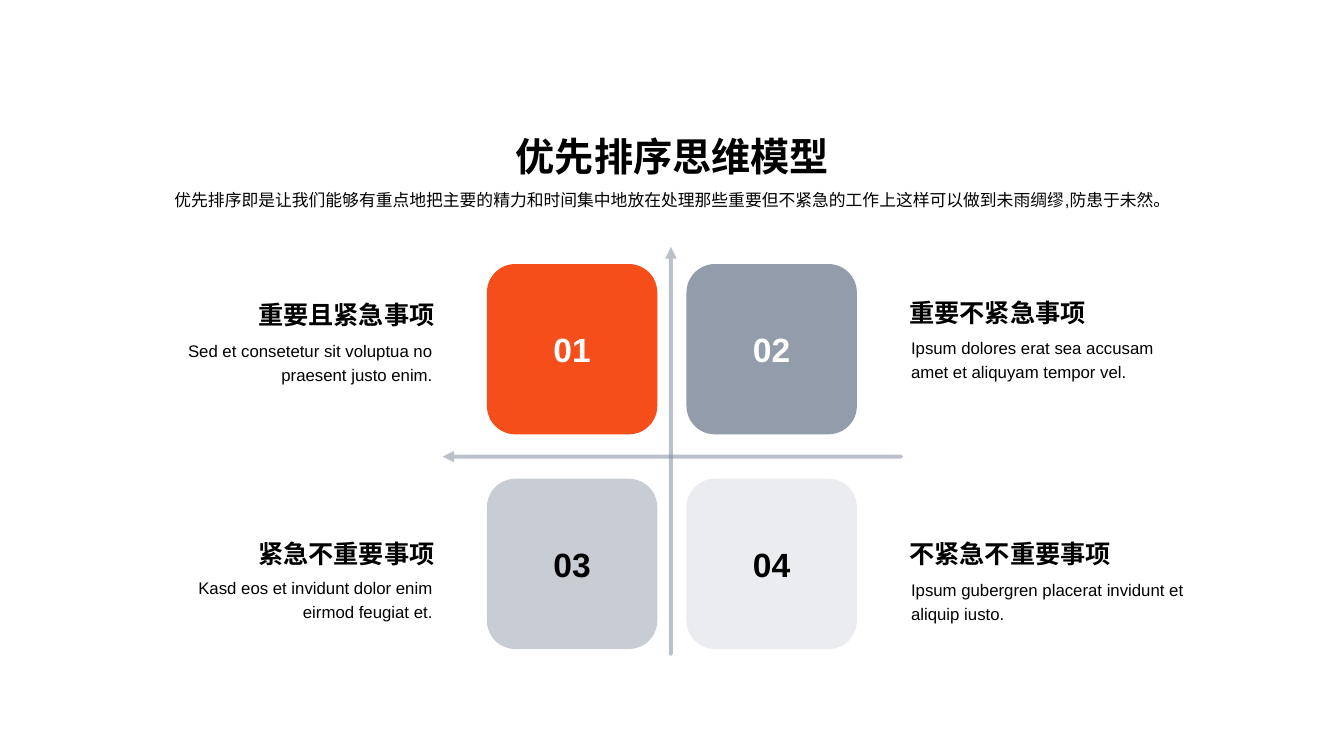
from pptx import Presentation
from pptx import util as u
from pptx.dml.color import RGBColor
from pptx.enum import shapes, text
from pptx.oxml.ns import qn
from lxml import etree

W, H = u.Inches(13.333), u.Inches(7.5)
BLACK, WHITE, ORANGE, SLATE = "000000", "FFFFFF", "F54E1A", "778495"
LEFT, CENTER, RIGHT = text.PP_ALIGN.LEFT, text.PP_ALIGN.CENTER, text.PP_ALIGN.RIGHT
TOP, MIDDLE, BOTTOM = text.MSO_ANCHOR.TOP, text.MSO_ANCHOR.MIDDLE, text.MSO_ANCHOR.BOTTOM

TITLE = "优先排序思维模型"
SUBTITLE = "优先排序即是让我们能够有重点地把主要的精力和时间集中地放在处理那些重要但不紧急的工作上这样可以做到未雨绸缪,防患于未然。"
QUADRANTS = [
    ("01", ORANGE, 100, WHITE, "重要且紧急事项", -1.33,
     "Sed et consetetur sit voluptua no praesent justo enim.", 8.94),
    ("02", SLATE, 80, WHITE, "重要不紧急事项", -1.6,
     "Ipsum dolores erat sea accusam amet et aliquyam tempor vel.", 8.54),
    ("03", SLATE, 40, BLACK, "紧急不重要事项", 1.87,
     "Kasd eos et invidunt dolor enim eirmod feugiat et.", 11.87),
    ("04", SLATE, 15, BLACK, "不紧急不重要事项", 1.87,
     "Ipsum gubergren placerat invidunt et aliquip iusto.", 12.14),
]


def across(share):
    return int(W * share / 100)


def down(share):
    return int(H * share / 100)


def place(x, y, w, h):
    return across(x), down(y), across(w), down(h)


def paint(color_format, color, alpha=100):
    color_format.fore_color.rgb = RGBColor.from_string(color)
    if alpha < 100:
        clr = color_format._xPr.find(".//" + qn("a:srgbClr"))
        etree.SubElement(clr, qn("a:alpha"), val=str(alpha * 1000))


def write(sp, words, size=12, color=BLACK, bold=False, align=LEFT, anchor=TOP,
          spacing=None, inset=(0, 0)):
    tf = sp.text_frame
    tf.word_wrap = True
    tf.vertical_anchor = anchor
    tf.margin_left = tf.margin_right = u.Inches(inset[0])
    tf.margin_top = tf.margin_bottom = u.Inches(inset[1])
    p = tf.paragraphs[0]
    p.alignment = align
    if spacing:
        p.line_spacing = spacing
    r = p.add_run()
    r.text = words
    r.font.size = u.Pt(size)
    r.font.bold = bold
    r.font.name = "Arial"
    r.font.color.rgb = RGBColor.from_string(color)
    etree.SubElement(r._r.rPr, qn("a:ea"), typeface="Arial")


def add_text(s, box, words, **fmt):
    write(s.shapes.add_textbox(*place(*box)), words, **fmt)


def add_tile(s, box, number, fill, alpha, color):
    sp = s.shapes.add_shape(shapes.MSO_SHAPE.ROUNDED_RECTANGLE, *place(*box))
    sp.shadow.inherit = False
    sp.line.fill.background()
    sp.fill.solid()
    paint(sp.fill, color=fill, alpha=alpha)
    write(sp, number, size=24, color=color, bold=True, align=CENTER,
          anchor=MIDDLE, inset=(0.2, 0.2))


def add_axis(s, x1, y1, x2, y2):
    cx = s.shapes.add_connector(shapes.MSO_CONNECTOR.STRAIGHT,
                                across(x1), down(y1), across(x2), down(y2))
    cx.line.width = u.Pt(2.75)
    cx.line.fill.solid()
    paint(cx.line.fill, SLATE, 50)
    ln = cx.line._get_or_add_ln()
    ln.set("cap", "rnd")
    etree.SubElement(ln, qn("a:round"))
    etree.SubElement(ln, qn("a:tailEnd"), type="triangle")
    etree.SubElement(cx._element.spPr, qn("a:effectLst"))


def add_header(s, x, y, w, h):
    title_h = h * 0.64
    add_text(s, (x, y, w, title_h), TITLE, size=28, bold=True,
             align=CENTER, anchor=BOTTOM)
    add_text(s, (x, y + title_h, w, h - title_h), SUBTITLE,
             align=CENTER, spacing=1.5)


def add_matrix(s, x, y, w, h):
    label_w, tile_w, tile_h = 21.9, 12.68, 22.53
    for i, (number, fill, alpha, color, name, name_dy, note, note_dy) in enumerate(QUADRANTS):
        row, col = divmod(i, 2)
        tile_x, tile_y = x + 25.2 + col * 14.85, y + 2.26 + row * 28.4
        label_x = x + col * (w - label_w)
        align = LEFT if col else RIGHT
        add_text(s, (label_x, tile_y + note_dy, label_w, 15.47), note,
                 align=align, spacing=1.2, inset=(0.1, 0.05))
        add_text(s, (label_x, tile_y + name_dy, label_w, 10), name, size=18,
                 bold=True, align=align, anchor=BOTTOM, inset=(0.08, 0))
        add_tile(s, (tile_x, tile_y, tile_w, tile_h), number, fill, alpha, color)
    axis_x, axis_y = x + 38.89, y + 27.73
    add_axis(s, axis_x, y + h, axis_x, y)
    add_axis(s, x + w - label_w, axis_y, x + label_w, axis_y)


def main():
    prs = Presentation()
    prs.slide_width, prs.slide_height = W, H
    s = prs.slides.add_slide(prs.slide_layouts[6])
    add_header(s, 5.48, 15.07, 89.1, 13.6)
    add_matrix(s, 11.03, 32.67, 77.92, 53.86)
    prs.save("out.pptx")


if __name__ == "__main__":
    main()
